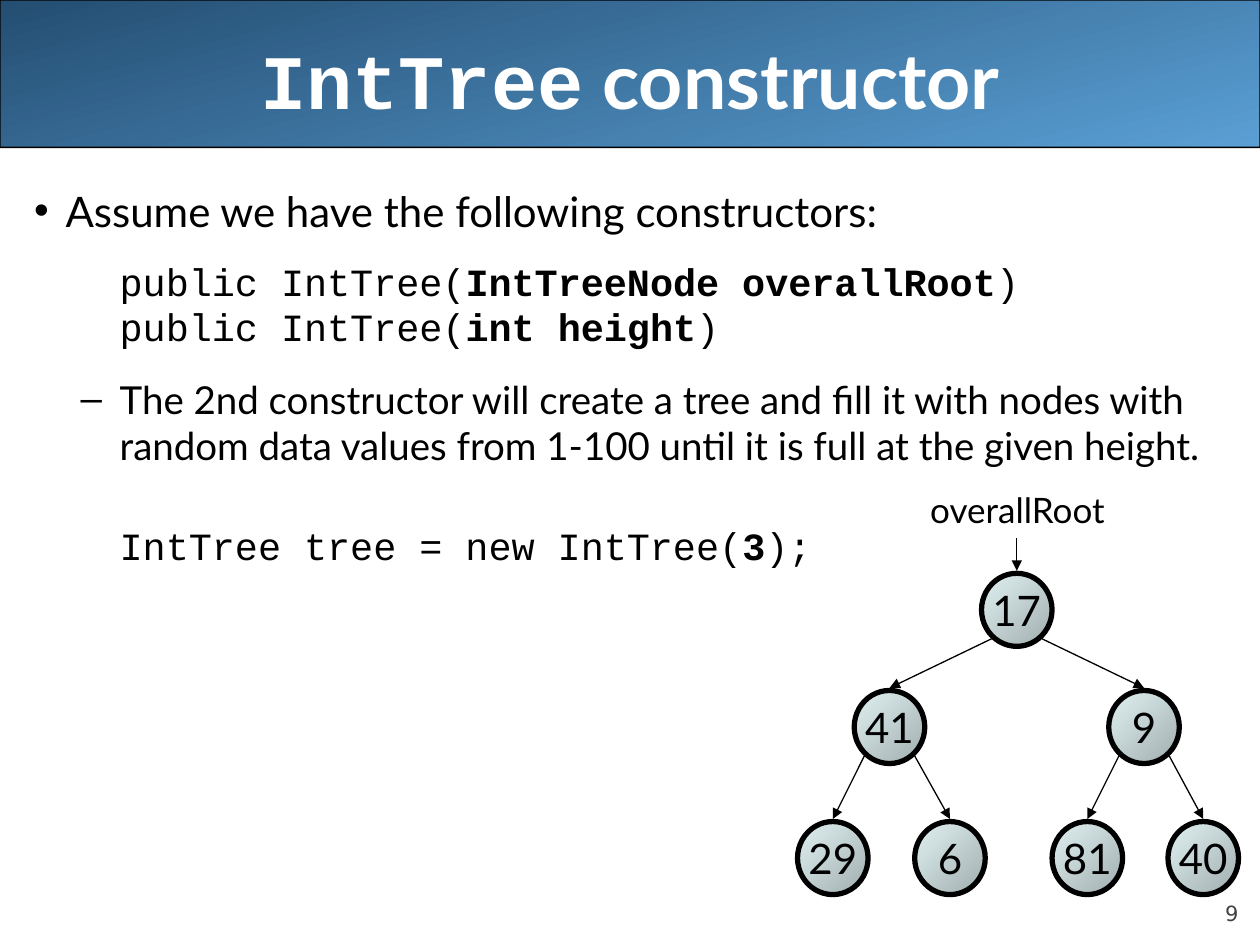
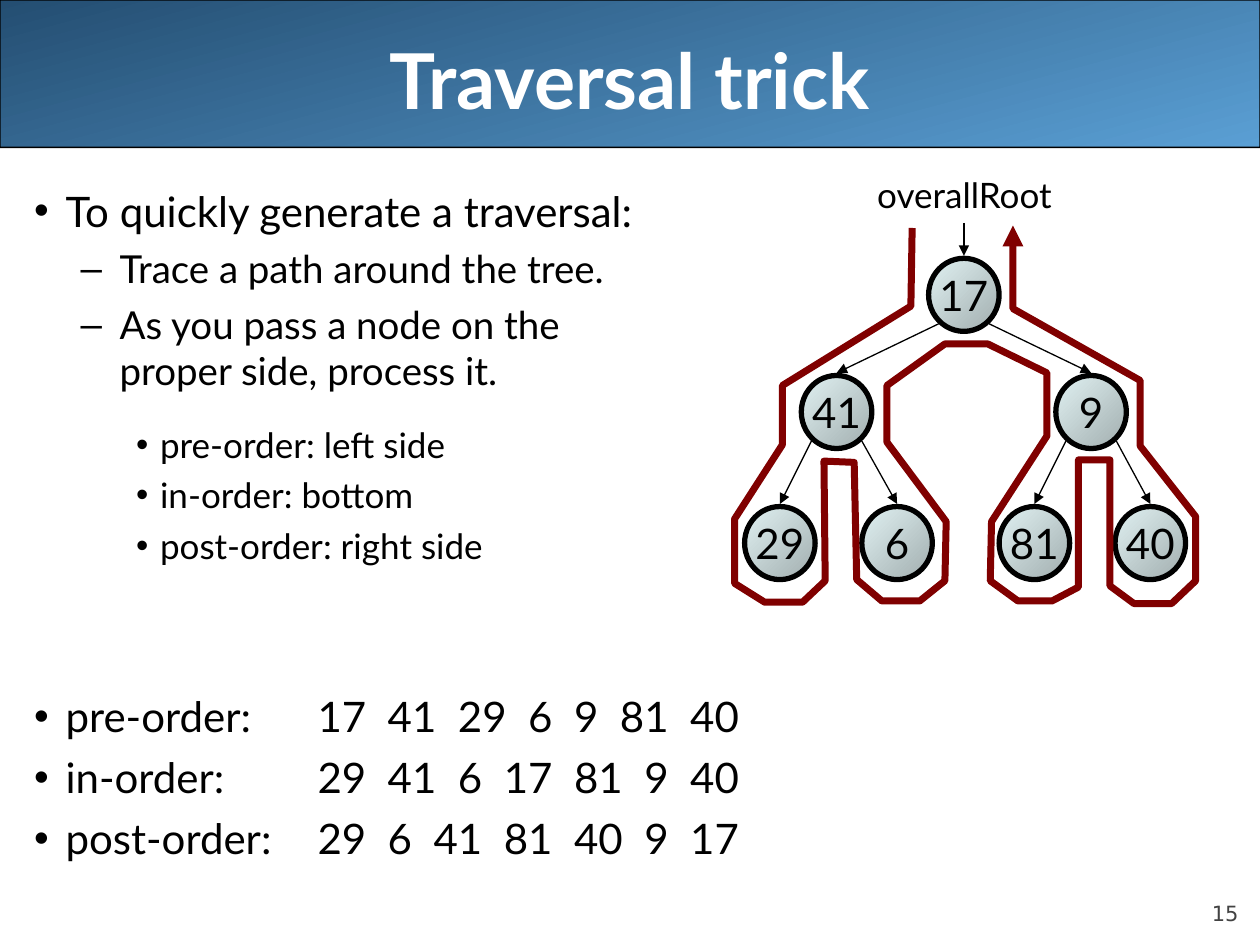
from dataclasses import dataclass

from lxml.etree import SubElement
from pptx import Presentation
from pptx.dml.color import RGBColor
from pptx.enum.shapes import MSO_CONNECTOR, MSO_SHAPE
from pptx.enum.text import MSO_ANCHOR, MSO_AUTO_SIZE, PP_ALIGN
from pptx.oxml.ns import qn
from pptx.util import Inches, Pt

BLACK = RGBColor(0x00, 0x00, 0x00)
WHITE = RGBColor(0xFF, 0xFF, 0xFF)
BAND_DARK = RGBColor(0x24, 0x4E, 0x72)
BAND_LIGHT = RGBColor(0x5A, 0x9F, 0xD4)
NODE_DARK = RGBColor(0xA1, 0xAD, 0xAE)
NODE_LIGHT = RGBColor(0xE1, 0xF2, 0xF3)
NUMBER_GREY = RGBColor(0x42, 0x42, 0x42)
TRACE_RED = RGBColor(0x80, 0x00, 0x00)

TEXT_FONT = "Lato"
CODE_FONT = "Courier New"
NUMBER_FONT = "DejaVu Sans"


@dataclass
class Level:
    depth: int
    margin: float
    indent: float
    bullet: str
    size: int
    space: float
    font: str = TEXT_FONT
    line_spacing: float = 1.0


POINT = Level(0, 0.25, -0.25, "•", 24, 6)
SUBPOINT = Level(1, 0.68, -0.31, "–", 22, 5.5)
DETAIL = Level(2, 1, -0.19, "•", 20, 5)
CODE = Level(1, 0.68, 0, "", 22, 7, CODE_FONT, 0.7)

# Tree in level order; node corners are relative to the tree box
NODE_WIDTH, NODE_HEIGHT = 0.56, 0.58
TREE_NODES = [
    ("17", 1.46, 0.72),
    ("41", 0.45, 1.65), ("9", 2.47, 1.65),
    ("29", 0, 2.69), ("6", 0.93, 2.69), ("81", 2.02, 2.69), ("40", 2.94, 2.69),
]
TRACE_PATH = [
    (1.41, 0.02), (1.40, 0.64), (0.38, 1.27), (0.38, 1.74), (0, 2.33),
    (0, 2.84), (0.24, 2.99), (0.54, 2.99), (0.72, 2.82), (0.71, 1.87),
    (0.95, 1.88), (0.97, 2.81), (1.17, 2.98), (1.47, 2.98), (1.67, 2.82),
    (1.68, 2.35), (1.21, 1.72), (1.21, 1.27), (1.67, 0.94), (2.01, 0.94),
    (2.48, 1.17), (2.48, 1.67), (2.04, 2.35), (2.03, 2.82), (2.25, 2.98),
    (2.52, 2.98), (2.73, 2.87), (2.73, 1.86), (2.98, 1.86), (2.98, 2.86),
    (3.17, 3), (3.47, 3), (3.66, 2.82), (3.66, 2.31), (3.22, 1.75),
    (3.22, 1.23), (2.21, 0.66), (2.21, 0),
]


def place(part, left, top, width, height):
    part.left, part.top = Inches(left), Inches(top)
    part.width, part.height = Inches(width), Inches(height)


def style_font(font, name, size, color, bold=False):
    font.name, font.size, font.bold = name, Pt(size), bold
    font.color.rgb = color


def set_gradient(fill, start, end, angle):
    fill.gradient()
    fill.gradient_angle = angle
    for stop, color in zip(fill.gradient_stops, (start, end)):
        stop.color.rgb = color


def set_line(line, color, width):
    line.color.rgb = color
    line.width = Pt(width)


def add_arrowhead(line_owner):
    outline = line_owner.line._get_or_add_ln()
    SubElement(outline, qn("a:round"))
    SubElement(outline, qn("a:tailEnd"), type="triangle")


# Shared parts of every slide
def add_band(slide):
    band = slide.shapes.add_shape(MSO_SHAPE.ROUNDED_RECTANGLE, 0, 0, Inches(10), Inches(1.17))
    band.adjustments[0] = 0.001
    band.shadow.inherit = False
    set_gradient(band.fill, BAND_DARK, BAND_LIGHT, 285)
    set_line(band.line, BLACK, 0.75)
    slide.shapes._spTree.insert(2, band._element)


def add_label(slide, text, box, font, size, color, align, anchor, inset):
    label = slide.shapes.add_textbox(*map(Inches, box))
    frame = label.text_frame
    frame.text = text
    frame.vertical_anchor = anchor
    frame.margin_left = frame.margin_right = Inches(inset)
    frame.margin_top = frame.margin_bottom = Inches(inset / 2)
    frame.paragraphs[0].alignment = align
    style_font(frame.paragraphs[0].runs[0].font, font, size, color)


def fill_title(title, pieces):
    place(title, 0.5, 0, 9, 1.25)
    frame = title.text_frame
    frame.auto_size = MSO_AUTO_SIZE.NONE
    frame.vertical_anchor = MSO_ANCHOR.MIDDLE
    heading = frame.paragraphs[0]
    heading.alignment = PP_ALIGN.CENTER
    for text, font in pieces:
        run = heading.add_run()
        run.text = text
        style_font(run.font, font, 44, WHITE, True)


def format_level(paragraph, level, tab):
    properties = paragraph._p.get_or_add_pPr()
    properties.set("marL", str(Inches(level.margin)))
    properties.set("indent", str(Inches(level.indent)))
    if level.bullet:
        color = SubElement(SubElement(properties, qn("a:buClr")), qn("a:srgbClr"))
        color.set("val", str(BLACK))
        SubElement(properties, qn("a:buChar"), char=level.bullet)
    else:
        SubElement(properties, qn("a:buNone"))
    if tab:
        stops = SubElement(properties, qn("a:tabLst"))
        SubElement(stops, qn("a:tab"), pos=str(Inches(tab)), algn="l")
    paragraph.level = level.depth
    paragraph.line_spacing = level.line_spacing


def fill_body(body, items, tab=None):
    """Each item is (level, extra space before, texts); every second text is bold."""
    place(body, 0.17, 1.42, 9.83, 5.67)
    frame = body.text_frame
    frame.auto_size = MSO_AUTO_SIZE.NONE
    frame.vertical_anchor = MSO_ANCHOR.TOP
    for index, (level, extra, *texts) in enumerate(items):
        paragraph = frame.add_paragraph() if index else frame.paragraphs[0]
        format_level(paragraph, level, tab)
        paragraph.space_before = Pt(level.space + extra if index else 0)
        if len(texts) == 1:
            paragraph.text = texts[0]
        else:
            for text in texts:
                paragraph.add_run().text = text
        for position, run in enumerate(paragraph.runs):
            bold = len(texts) > 1 and position % 2 == 1
            style_font(run.font, level.font, level.size, BLACK, bold)


def start_slide(deck, number, title_pieces):
    slide = deck.slides.add_slide(deck.slide_layouts[1])
    add_band(slide)
    fill_title(slide.shapes.title, title_pieces)
    add_label(slide, number, (9, 6.95, 0.83, 0.4), NUMBER_FONT, 12, NUMBER_GREY,
              PP_ALIGN.RIGHT, MSO_ANCHOR.BOTTOM, 0)
    return slide


# Binary tree diagram
def add_node(slide, value, left, top):
    node = slide.shapes.add_shape(MSO_SHAPE.OVAL, Inches(left), Inches(top),
                                  Inches(NODE_WIDTH), Inches(NODE_HEIGHT))
    node.shadow.inherit = False
    set_gradient(node.fill, NODE_DARK, NODE_LIGHT, 135)
    set_line(node.line, BLACK, 3)
    frame = node.text_frame
    frame.text = value
    frame.word_wrap = False
    frame.vertical_anchor = MSO_ANCHOR.MIDDLE
    frame.paragraphs[0].alignment = PP_ALIGN.CENTER
    style_font(frame.paragraphs[0].runs[0].font, TEXT_FONT, 24, BLACK)


def add_arrow(slide, x1, y1, x2, y2):
    arrow = slide.shapes.add_connector(MSO_CONNECTOR.STRAIGHT,
                                       *map(Inches, (x1, y1, x2, y2)))
    set_line(arrow.line, BLACK, 0.75)
    add_arrowhead(arrow)
    SubElement(arrow._element.spPr, qn("a:effectLst"))


def add_tree(slide, left, top):
    for index, (value, x, y) in enumerate(TREE_NODES):
        add_node(slide, value, left + x, top + y)
        child_x, child_y = left + x + NODE_WIDTH / 2, top + y - 0.02
        if index == 0:
            add_arrow(slide, child_x, top + 0.44, child_x, child_y)
            continue
        _, parent_x, parent_y = TREE_NODES[(index - 1) // 2]
        side = -0.2 if index % 2 else 0.2
        add_arrow(slide, left + parent_x + NODE_WIDTH / 2 + side,
                  top + parent_y + 0.52, child_x, child_y)
    add_label(slide, "overallRoot", (left + 0.9, top, 1.69, 0.44), TEXT_FONT, 20, BLACK,
              PP_ALIGN.CENTER, MSO_ANCHOR.TOP, 0.1)


def add_trace(slide, left, top):
    points = [(Inches(left + x), Inches(top + y)) for x, y in TRACE_PATH]
    builder = slide.shapes.build_freeform(*points[0])
    builder.add_line_segments(points[1:], close=False)
    trace = builder.convert_to_shape()
    trace.shadow.inherit = False
    trace.fill.background()
    set_line(trace.line, TRACE_RED, 4)
    add_arrowhead(trace)


# Slides
def build_constructor_slide(deck):
    slide = start_slide(deck, "9", [("IntTree", CODE_FONT), (" constructor", TEXT_FONT)])
    fill_body(slide.placeholders[1], [
        (POINT, 0, "Assume we have the following constructors:"),
        (CODE, 13, "public IntTree(", "IntTreeNode overallRoot", ")"),
        (CODE, 0, "public IntTree(", "int height", ")"),
        (SUBPOINT, 10.5, "The 2nd constructor will create a tree and fill it with nodes with "
                         "random data values from 1-100 until it is full at the given height."),
        (CODE, 31, "IntTree tree = new IntTree(", "3", ");"),
    ])
    add_tree(slide, 6.33, 3.83)


def build_traversal_slide(deck):
    slide = start_slide(deck, "15", [("Traversal trick", TEXT_FONT)])
    fill_body(slide.placeholders[1], [
        (POINT, 0, "To quickly generate a traversal:"),
        (SUBPOINT, 0, "Trace a path around the tree."),
        (SUBPOINT, 0, "As you pass a node on the\nproper side, process it."),
        (DETAIL, 12, "pre-order: left side"),
        (DETAIL, 0, "in-order: bottom"),
        (DETAIL, 0, "post-order: right side"),
        (POINT, 65, "pre-order:\t17  41  29  6  9  81  40"),
        (POINT, 0, "in-order:\t29  41  6  17  81  9  40"),
        (POINT, 0, "post-order:\t29  6  41  81  40  9  17"),
    ], tab=2.25)
    add_tree(slide, 5.91, 1.33)
    add_trace(slide, 5.83, 1.79)


def main():
    deck = Presentation()
    deck.slide_width, deck.slide_height = Inches(10), Inches(7.5)
    build_constructor_slide(deck)
    build_traversal_slide(deck)
    deck.save("out.pptx")


if __name__ == "__main__":
    main()
